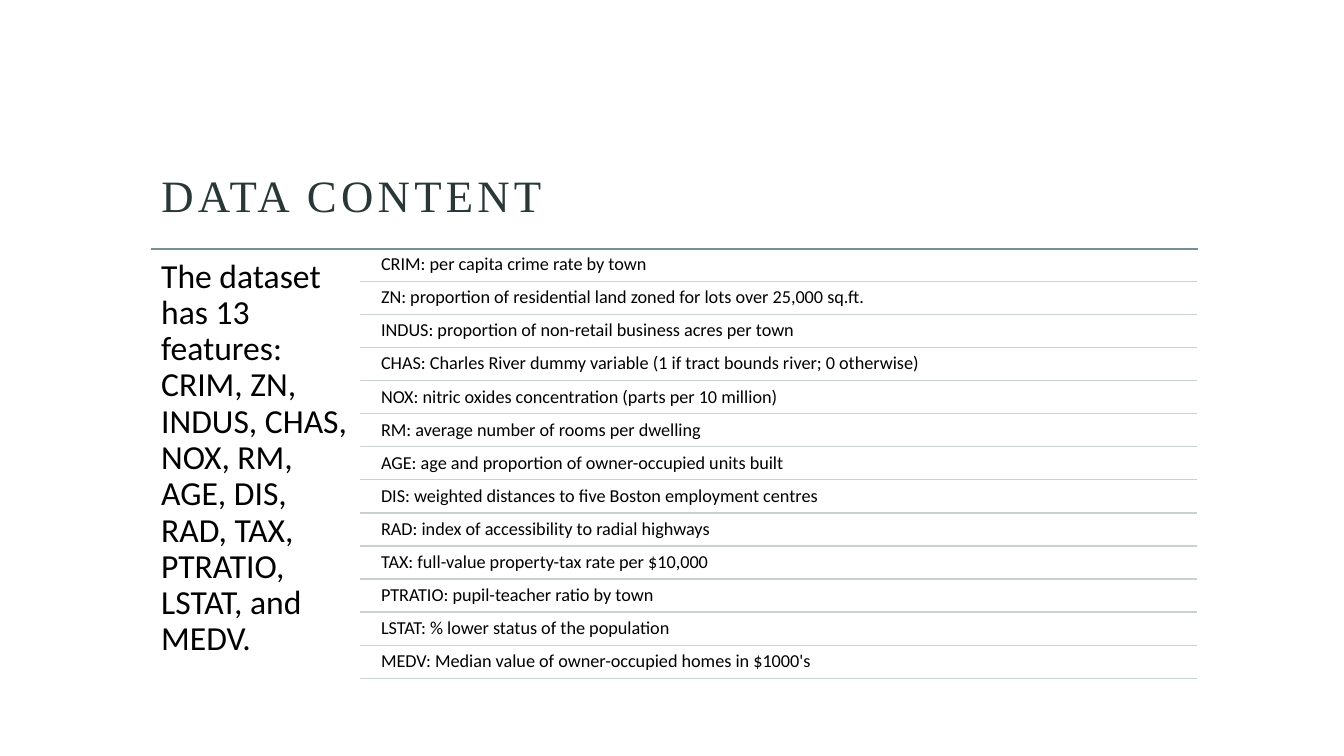
"""Build the slide that lists the features of the housing dataset."""
from dataclasses import dataclass

from lxml.etree import SubElement
from pptx import Presentation
from pptx.dml.color import RGBColor
from pptx.enum.shapes import MSO_CONNECTOR
from pptx.enum.text import MSO_ANCHOR, MSO_AUTO_SIZE, PP_ALIGN
from pptx.oxml.ns import qn
from pptx.util import Pt

HEADING = "DATA CONTENT"
SUMMARY = ("The dataset has 13 features: CRIM, ZN, INDUS, CHAS, NOX, RM, AGE, "
           "DIS, RAD, TAX, PTRATIO, LSTAT, and MEDV.")
FEATURES = [
    "CRIM: per capita crime rate by town",
    "ZN: proportion of residential land zoned for lots over 25,000 sq.ft.",
    "INDUS: proportion of non-retail business acres per town",
    "CHAS: Charles River dummy variable (1 if tract bounds river; 0 otherwise)",
    "NOX: nitric oxides concentration (parts per 10 million)",
    "RM: average number of rooms per dwelling",
    "AGE: age and proportion of owner-occupied units built",
    "DIS: weighted distances to five Boston employment centres",
    "RAD: index of accessibility to radial highways",
    "TAX: full-value property-tax rate per $10,000",
    "PTRATIO: pupil-teacher ratio by town",
    "LSTAT: % lower status of the population",
    "MEDV: Median value of owner-occupied homes in $1000's",
]


@dataclass(frozen=True)
class Theme:
    heading_font: str = "Times New Roman"
    body_font: str = "Calibri"
    heading_size: int = 32
    summary_size: int = 24
    feature_size: int = 13
    heading_color: str = "293737"
    body_color: str = "000000"
    accent: str = "749090"
    divider: str = "C9D1D1"


THEME = Theme()
PX = 9144
LEFT, RIGHT, TOP = 150, 1188, 247
DIVIDER_LEFT, DIVIDER_RIGHT = 357, 1187
FEATURE_LEFT, FEATURE_TOP, FEATURE_HEIGHT = 373, 248, 31
LAST_FEATURE_TOP = 642


def px(*lengths):
    return [round(length * PX) for length in lengths]


def write(frame, text, font, size, color, inset):
    frame.word_wrap = True
    frame.auto_size = MSO_AUTO_SIZE.NONE
    frame.margin_left = frame.margin_right = inset[0] * PX
    frame.margin_top = frame.margin_bottom = inset[1] * PX
    paragraph = frame.paragraphs[0]
    paragraph.alignment = PP_ALIGN.LEFT
    paragraph.line_spacing = 0.9
    run = paragraph.add_run()
    run.text = text
    run.font.name = font
    run.font.size = Pt(size)
    run.font.color.rgb = RGBColor.from_string(color)
    return run


def add_text(slide, box, text, size, inset):
    frame = slide.shapes.add_textbox(*px(*box)).text_frame
    write(frame, text, THEME.body_font, size, THEME.body_color, inset)


def add_rule(slide, left, right, y, color):
    rule = slide.shapes.add_connector(MSO_CONNECTOR.STRAIGHT, *px(left, y, right, y))
    rule.line.color.rgb = RGBColor.from_string(color)
    rule.line.width = Pt(1)
    SubElement(rule._element.spPr, qn("a:effectLst"))


def main():
    deck = Presentation()
    deck.slide_width, deck.slide_height = px(1333, 750)
    slide = deck.slides.add_slide(deck.slide_layouts[5])

    heading = slide.shapes.title
    heading.left, heading.top, heading.width, heading.height = px(LEFT, 75, RIGHT - LEFT, 150)
    heading.text_frame.vertical_anchor = MSO_ANCHOR.BOTTOM
    heading_run = write(heading.text_frame, HEADING, THEME.heading_font,
                        THEME.heading_size, THEME.heading_color, (10, 5))
    heading_run.font._element.set("spc", "300")

    add_rule(slide, LEFT, RIGHT, TOP, THEME.accent)
    add_text(slide, (LEFT, TOP, 208, 428), SUMMARY, THEME.summary_size, (10, 10))

    pitch = (LAST_FEATURE_TOP - FEATURE_TOP) / (len(FEATURES) - 1)
    for index, feature in enumerate(FEATURES):
        top = FEATURE_TOP + index * pitch
        add_text(slide, (FEATURE_LEFT, top, DIVIDER_RIGHT - FEATURE_LEFT, FEATURE_HEIGHT),
                 feature, THEME.feature_size, (5, 5))
        add_rule(slide, DIVIDER_LEFT, DIVIDER_RIGHT, top + FEATURE_HEIGHT, THEME.divider)

    deck.save("out.pptx")


if __name__ == "__main__":
    main()
